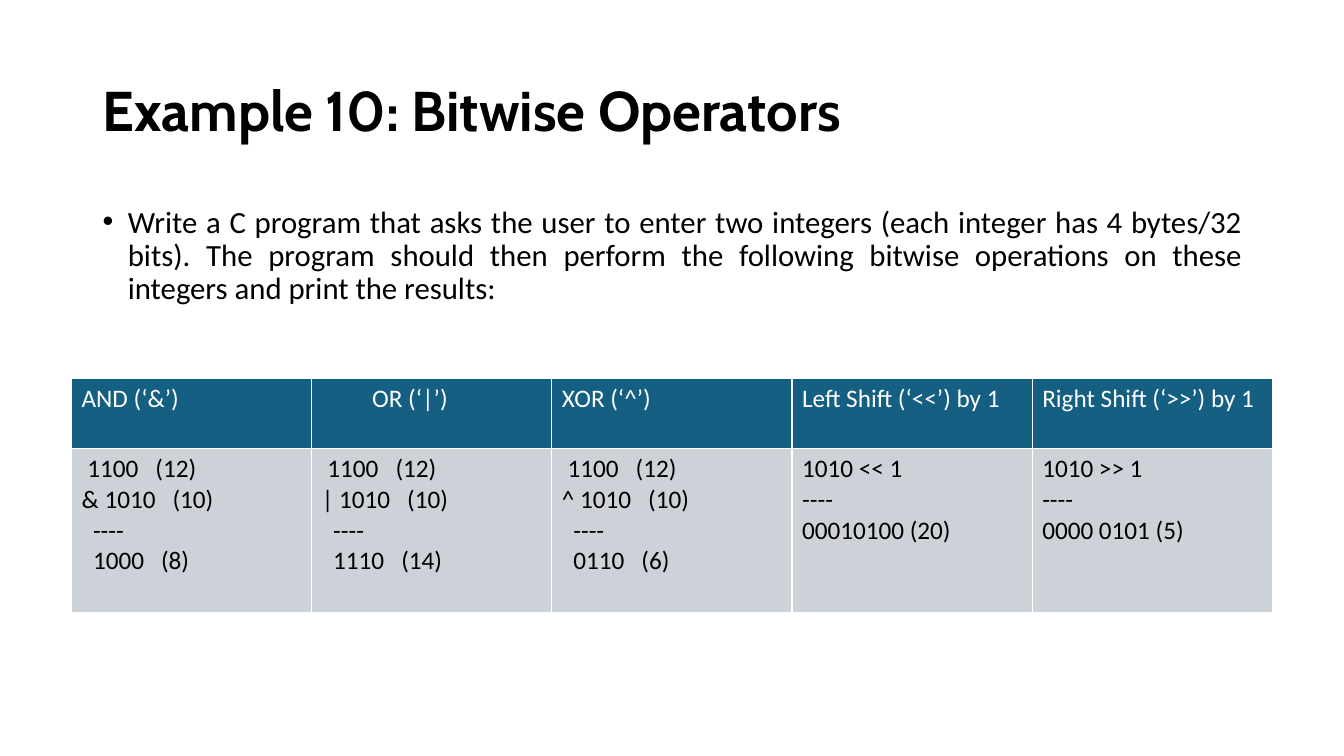
from lxml import etree
from pptx import Presentation
from pptx.dml.color import RGBColor
from pptx.enum.text import MSO_ANCHOR, PP_ALIGN
from pptx.oxml.ns import qn
from pptx.util import Inches, Pt

MIDDLE = MSO_ANCHOR.MIDDLE
JUSTIFY = PP_ALIGN.JUSTIFY
COLORS = {"ink": "000000", "white": "FFFFFF", "head": "156082", "body": "CCD2D8"}
TASK = (
    "Write a C program that asks the user to enter two integers "
    "(each integer has 4 bytes/32 bits). The program should then perform "
    "the following bitwise operations on these integers and print the results:"
)
SUMS = [
    ("AND (‘&’)", " 1100   (12)\n& 1010   (10)\n  ----\n  1000   (8)"),
    ("OR (‘|’)", " 1100   (12)\n| 1010   (10)\n  ----\n  1110   (14)"),
    ("XOR (‘^’)", " 1100   (12)\n^ 1010   (10)\n  ----\n  0110   (6)"),
    ("Left Shift (‘<<’) by 1", "1010 << 1\n----\n00010100 (20)"),
    ("Right Shift (‘>>’) by 1", "1010 >> 1\n----\n0000 0101 (5)"),
]
ROWS = (0.7, 1.63)
INDENT = 0.5


def style(para, face, size, color, bold=False):
    font = para.font
    font.name = face
    font.size = Pt(size)
    font.bold = bold
    font.color.rgb = RGBColor.from_string(COLORS[color])


def add_text(slide, box, text):
    frame = slide.shapes.add_textbox(*map(Inches, box)).text_frame
    frame.word_wrap = True
    para = frame.paragraphs[0]
    para.text = text
    para.line_spacing = 0.9
    return frame, para


def add_title(slide, box):
    frame, para = add_text(slide, box, "Example 10: Bitwise Operators")
    frame.vertical_anchor = MIDDLE
    style(para, "Cabin", 40, "ink", True)


def add_task(slide, box):
    _, para = add_text(slide, box, TASK)
    para.alignment = JUSTIFY
    props = para._p.get_or_add_pPr()
    props.set("marL", str(Inches(0.25)))
    props.set("indent", str(Inches(-0.25)))
    etree.SubElement(props, qn("a:buFont"), typeface="Arial")
    etree.SubElement(props, qn("a:buChar"), char="•")
    style(para, "Calibri", 22, "ink")


def add_edges(cell):
    props = cell._tc.get_or_add_tcPr()
    for side in "LRTB":
        line = etree.SubElement(props, qn(f"a:ln{side}"), w=str(Pt(1)))
        fill = etree.SubElement(line, qn("a:solidFill"))
        etree.SubElement(fill, qn("a:srgbClr"), val=COLORS["white"])


def fill_cell(cell, text, back, color):
    add_edges(cell)
    cell.fill.solid()
    cell.fill.fore_color.rgb = RGBColor.from_string(COLORS[back])
    cell.text = text
    for para in cell.text_frame.paragraphs:
        style(para, "Calibri", 18, color)


def add_sums(slide, box):
    frame = slide.shapes.add_table(len(ROWS), len(SUMS), *map(Inches, box))
    table = frame.table
    for row, height in zip(table.rows, ROWS):
        row.height = Inches(height)
    for col, (name, work) in enumerate(SUMS):
        table.columns[col].width = Inches(box[2] / len(SUMS))
        fill_cell(table.cell(0, col), name, "head", "white")
        fill_cell(table.cell(1, col), work, "body", "ink")
    para = table.cell(0, 1).text_frame.paragraphs[0]
    para.level = 1
    para._p.get_or_add_pPr().set("marL", str(Inches(INDENT)))


def main():
    deck = Presentation()
    deck.slide_width = Inches(13.33)
    deck.slide_height = Inches(7.5)
    slide = deck.slides.add_slide(deck.slide_layouts[6])
    add_title(slide, (0.92, 0.4, 11.5, 1.45))
    add_task(slide, (0.92, 2, 11.5, 4.76))
    add_sums(slide, (0.71, 3.75, 11.91, sum(ROWS)))
    deck.save("out.pptx")


if __name__ == "__main__":
    main()
